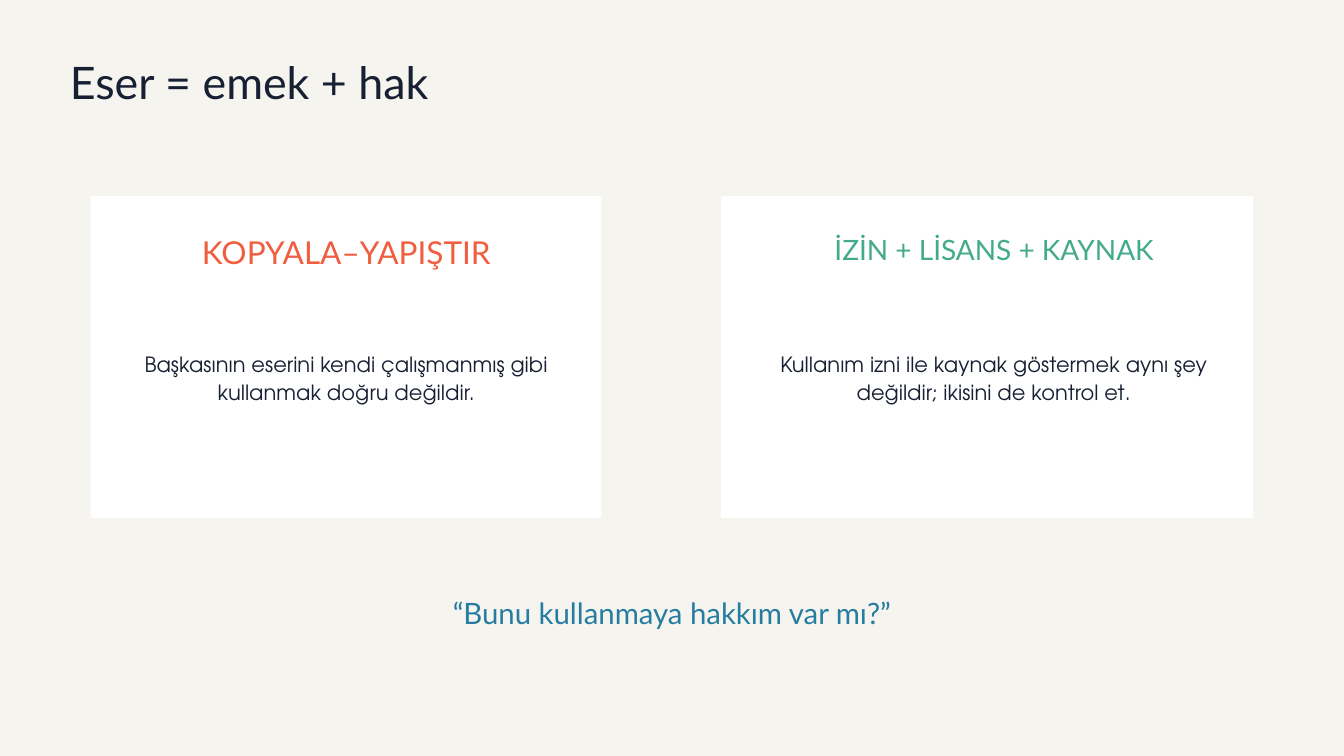
import pptx
import pptx.util
import pptx.dml.color
import pptx.enum.shapes
import pptx.enum.text

Cm, Pt = pptx.util.Cm, pptx.util.Pt
ALIGN = pptx.enum.text.PP_ALIGN

HUES = {"page": "F6F4EE", "card": "FFFFFF", "ink": "172033",
        "red": "F05D3F", "green": "43AA8B", "blue": "277DA1"}
HEAD, BODY = "Lato", "TeX Gyre Adventor"

TITLE = "Eser = emek + hak"
QUOTE = "“Bunu kullanmaya hakkım var mı?”"
CARDS = [
    {"left": 3.43, "wide": 19.3,
     "head": "KOPYALA–YAPIŞTIR", "hue": "red", "size": 33.8, "lead": 47.2,
     "headbox": (4.5, 17.2, 1.55),
     "body": "Başkasının eserini kendi çalışmanmış gibi kullanmak doğru değildir.",
     "bodybox": (5.28, 15.62)},
    {"left": 27.25, "wide": 20.12,
     "head": "İZİN + LİSANS + KAYNAK", "hue": "green", "size": 30, "lead": 42,
     "headbox": (28.32, 18.52, 1.4),
     "body": "Kullanım izni ile kaynak göstermek aynı şey değildir; ikisini de kontrol et.",
     "bodybox": (29.36, 16.41)},
]
TOP, TALL, ROUND = 7.42, 12.17, 0.06
HEAD_TOP, BODY_TOP, BODY_TALL = 8.59, 13.16, 2.08


def tint(name):
    return pptx.dml.color.RGBColor.from_string(HUES[name])


def add_text(shapes, box, text, font, size, lead, hue, align=ALIGN.CENTER):
    frame = shapes.add_textbox(*map(Cm, box)).text_frame
    frame.word_wrap = True
    frame.margin_left = frame.margin_right = 0
    frame.margin_top = frame.margin_bottom = 0
    para = frame.paragraphs[0]
    para.alignment = align
    para.line_spacing = Pt(lead)
    run = para.add_run()
    run.text = text
    run.font.name = font
    run.font.size = Pt(size)
    run.font.color.rgb = tint(hue)


def add_card(slide, card):
    shapes = slide.shapes.add_group_shape().shapes
    kind = pptx.enum.shapes.MSO_SHAPE.ROUNDED_RECTANGLE
    box = (card["left"], TOP, card["wide"], TALL)
    panel = shapes.add_shape(kind, *map(Cm, box))
    panel.adjustments[0] = ROUND / TALL
    panel.shadow.inherit = False
    panel.fill.solid()
    panel.fill.fore_color.rgb = tint("card")
    panel.line.fill.background()
    left, wide, tall = card["headbox"]
    add_text(shapes, (left, HEAD_TOP, wide, tall), card["head"],
             HEAD, card["size"], card["lead"], card["hue"])
    left, wide = card["bodybox"]
    add_text(shapes, (left, BODY_TOP, wide, BODY_TALL), card["body"],
             BODY, 22.5, 30.4, "ink")


def main():
    deck = pptx.Presentation()
    deck.slide_width, deck.slide_height = Cm(50.8), Cm(28.58)
    slide = deck.slides.add_slide(deck.slide_layouts[6])
    slide.background.fill.solid()
    slide.background.fill.fore_color.rgb = tint("page")
    add_text(slide.shapes, (2.64, 2.29, 26.47, 1.88), TITLE,
             HEAD, 48, 51.8, "ink", ALIGN.LEFT)
    for card in CARDS:
        add_card(slide, card)
    add_text(slide.shapes, (13.23, 22.28, 24.33, 1.52), QUOTE,
             HEAD, 31.5, 44.1, "blue")
    deck.save("out.pptx")


if __name__ == "__main__":
    main()
